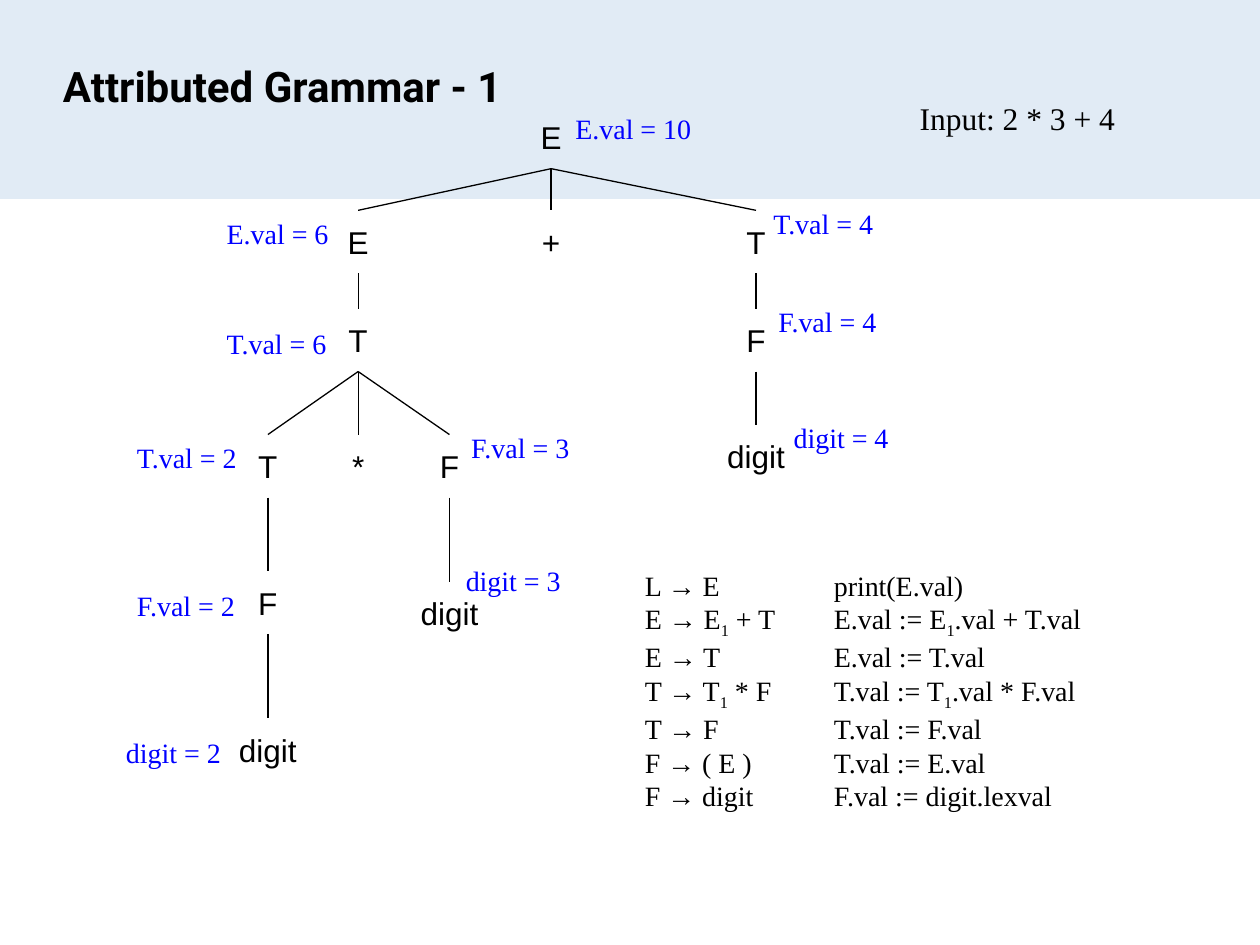
"""Build a slide with an attributed parse tree and its semantic rules."""
import pptx
import pptx.dml.color
import pptx.enum.shapes
import pptx.enum.text
import pptx.util
from lxml import etree

Cm, Pt = pptx.util.Cm, pptx.util.Pt
RGBColor = pptx.dml.color.RGBColor
ALIGN = pptx.enum.text.PP_ALIGN
ANCHOR = pptx.enum.text.MSO_ANCHOR
AUTO = pptx.enum.text.MSO_AUTO_SIZE

BLACK = RGBColor(0x00, 0x00, 0x00)
BLUE = RGBColor(0x00, 0x00, 0xFF)
BAND = RGBColor(0xE1, 0xEB, 0xF5)

TITLE = "Attributed Grammar - 1"
INPUT = "Input: 2 * 3 + 4"
RULES = [
    "L → E \t\tprint(E.val)",
    "E → E_1 + T\tE.val := E_1.val + T.val",
    "E → T\t\tE.val := T.val",
    "T → T_1 * F\tT.val := T_1.val * F.val",
    "T → F\t\tT.val := F.val",
    "F → ( E ) \t\tT.val := E.val",
    "F → digit\t\tF.val := digit.lexval",
]

NODE_W, NODE_H, LABEL_H = 3.18, 1.27, 0.94
# name: (symbol, centre x, top, parent)
NODES = {
    "sum": ("E", 11.11, 2.13, None),
    "plus": ("+", 11.11, 4.24, "sum"),
    "right term": ("T", 15.24, 4.24, "sum"),
    "left expr": ("E", 7.22, 4.24, "sum"),
    "product": ("T", 7.22, 6.22, "left expr"),
    "times": ("*", 7.22, 8.76, "product"),
    "factor 3": ("F", 9.06, 8.76, "product"),
    "term 2": ("T", 5.4, 8.76, "product"),
    "factor 2": ("F", 5.4, 11.51, "term 2"),
    "digit 2": ("digit", 5.4, 14.48, "factor 2"),
    "digit 3": ("digit", 9.06, 11.73, "factor 3"),
    "factor 4": ("F", 15.24, 6.22, "right term"),
    "digit 4": ("digit", 15.24, 8.56, "factor 4"),
}
LABELS = [
    ("digit = 3", 9.14, 11.23, 2.44),
    ("F.val = 3", 9.25, 8.56, 2.54),
    ("digit = 4", 15.75, 8.36, 2.44),
    ("F.val = 4", 15.44, 6.02, 2.54),
    ("digit = 2", 2.29, 14.71, 2.44),
    ("F.val = 2", 2.51, 11.73, 2.54),
    ("T.val = 2", 2.51, 8.76, 2.57),
    ("T.val = 6", 4.32, 6.45, 2.57),
    ("E.val = 6", 4.32, 4.24, 2.57),
    ("T.val = 4", 15.34, 4.04, 2.57),
    ("E.val = 10", 11.35, 2.13, 2.87),
]

SERIF = {"name": "Times New Roman", "size": Pt(16), "bold": False}
LARGE_SERIF = {**SERIF, "size": Pt(18)}
SANS = {"name": "Arial", "size": Pt(18), "bold": False}
HEADING = {"name": "Roboto", "size": Pt(24), "bold": True}
GROW = {"word_wrap": False, "auto_size": AUTO.SHAPE_TO_FIT_TEXT}
FLUSH = {"margin_left": 0, "margin_right": 0}
CENTRED = {"word_wrap": False, "vertical_anchor": ANCHOR.MIDDLE}


def add_run(p, text, font, color):
    r = p.add_run()
    r.text = text
    for key, value in font.items():
        setattr(r.font, key, value)
    r.font.color.rgb = color
    return r


def add_text(s, lines, box, font, frame, color=BLACK, align=ALIGN.LEFT):
    tf = s.shapes.add_textbox(*map(Cm, box)).text_frame
    for key, value in frame.items():
        setattr(tf, key, value)
    for i, line in enumerate(lines):
        p = tf.add_paragraph() if i else tf.paragraphs[0]
        p.alignment = align
        first, *rest = line.split("_")
        add_run(p, first, font, color)
        for part in rest:
            sub = add_run(p, part[0], font, color)
            sub._r.get_or_add_rPr().set("baseline", "-25000")
            add_run(p, part[1:], font, color)


def add_branch(s, parent, child):
    _, x1, top, _ = NODES[parent]
    _, x2, y2, _ = NODES[child]
    straight = pptx.enum.shapes.MSO_CONNECTOR.STRAIGHT
    sp = s.shapes.add_connector(straight, *map(Cm, (x1, top + NODE_H, x2, y2)))
    sp.line.color.rgb = BLACK
    sp.line.width = Pt(0.75)
    etree.SubElement(sp._element.spPr, pptx.oxml.ns.qn("a:effectLst"))


def main():
    prs = pptx.Presentation()
    prs.slide_width, prs.slide_height = Cm(25.4), Cm(19.05)
    s = prs.slides.add_slide(prs.slide_layouts[6])

    band = s.shapes.add_shape(
        pptx.enum.shapes.MSO_SHAPE.RECTANGLE, 0, 0, prs.slide_width, Cm(4.01))
    band.shadow.inherit = False
    band.fill.solid()
    band.fill.fore_color.rgb = BAND
    band.line.fill.background()

    add_text(s, RULES, (13, 11.33, 10.39, 5), SERIF,
             {**GROW, **FLUSH, "word_wrap": True})
    for symbol, x, top, _ in NODES.values():
        add_text(s, [symbol], (x - NODE_W / 2, top, NODE_W, NODE_H), SANS,
                 CENTRED, align=ALIGN.CENTER)
    for child, (_, _, _, parent) in NODES.items():
        if parent:
            add_branch(s, parent, child)
    for text, left, top, width in LABELS:
        add_text(s, [text], (left, top, width, LABEL_H), SERIF, GROW, BLUE)
    add_text(s, [INPUT], (18.54, 1.88, 3.94, 1.02), LARGE_SERIF,
             {**GROW, **FLUSH}, align=ALIGN.CENTER)
    add_text(s, [TITLE], (1.02, 1.09, 9.88, 1.27), HEADING, GROW)
    prs.save("out.pptx")


if __name__ == "__main__":
    main()
